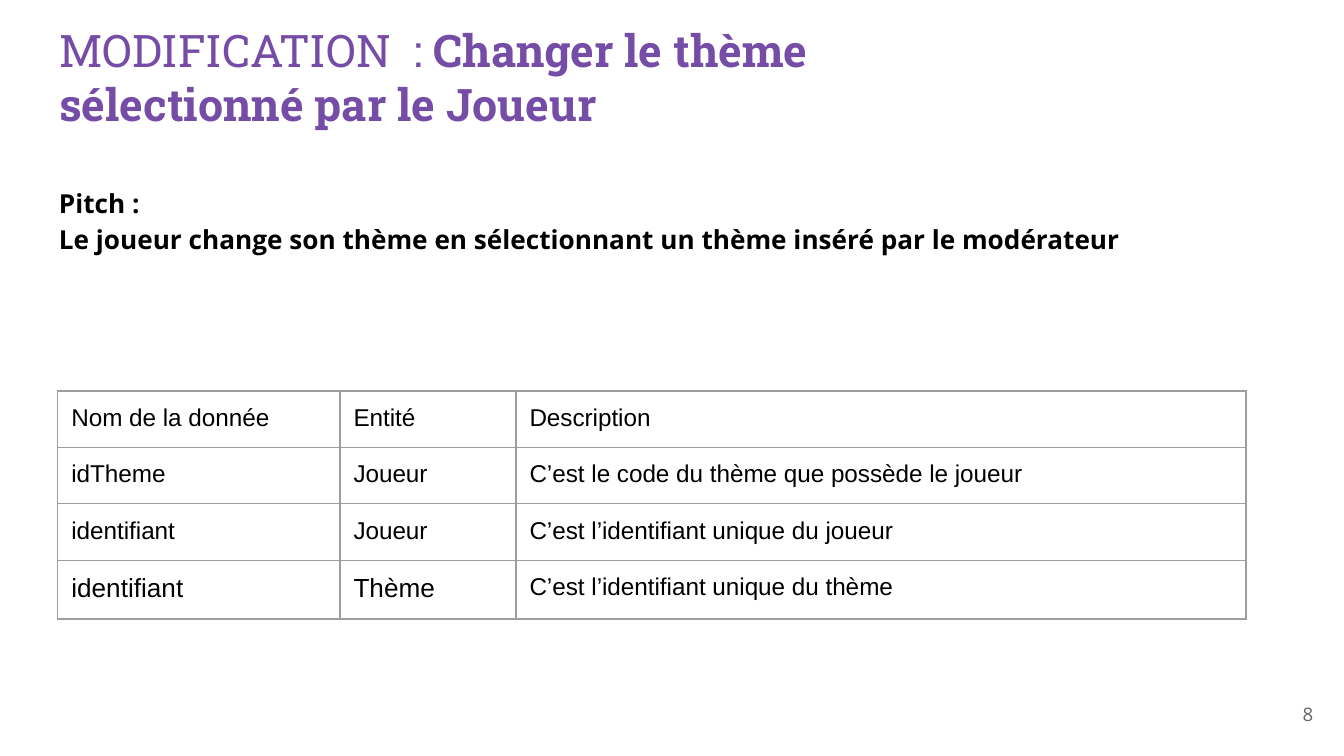
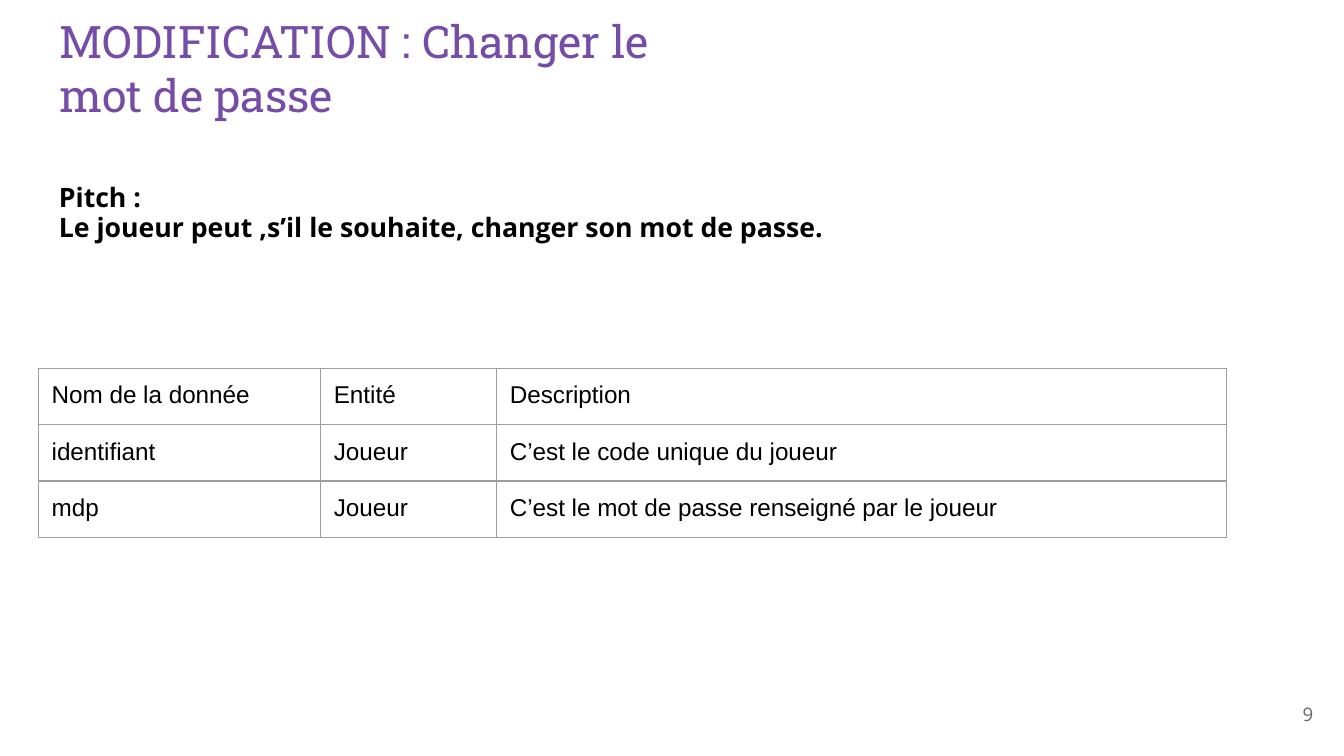
"""Builds two slides on data changes: a title, a pitch and a data table on each."""
from lxml import etree
from pptx import Presentation
from pptx.dml.color import RGBColor
from pptx.enum import text as t
from pptx.oxml import ns
from pptx.util import Pt

PURPLE = RGBColor(0x75, 0x4C, 0xA6)
BLACK = RGBColor(0, 0, 0)
GREY = RGBColor(0x66, 0x66, 0x66)
RULE = "9E9E9E"
SLAB, SANS, ARIAL = "Roboto Slab", "Open Sans", "Arial"
PAD = 7.2
LEFT, WIDE = 24.5, 671
HEAD = ("Nom de la donnée", "Entité", "Description")
COLS = (151.2, 94.3, 391)
ROW = 30.2

SLIDES = [
    dict(
        title=[[("MODIFICATION  : ", False), ("Changer le thème ", True)],
               [("sélectionné par le Joueur", True)]],
        top=5, high=88.5,
        pitch="Le joueur change son thème en sélectionnant un thème inséré par le modérateur",
        size=14, space=1.15, deep=75,
        spot=(31, 209.5),
        rows=[("idTheme", "Joueur", "C’est le code du thème que possède le joueur"),
              ("identifiant", "Joueur", "C’est l’identifiant unique du joueur"),
              ("identifiant", "Thème", "C’est l’identifiant unique du thème")],
        large={(3, 0), (3, 1)},
        num="8"),
    dict(
        title=[[("MODIFICATION : Changer le ", False)], [("mot de passe", False)]],
        top=0, high=80,
        pitch="Le joueur peut ,s’il le souhaite, changer son mot de passe.",
        size=14.3, space=0.95, deep=51,
        spot=(20.5, 197.3),
        rows=[("identifiant", "Joueur", "C’est le code unique du joueur"),
              ("mdp", "Joueur", "C’est le mot de passe renseigné par le joueur")],
        large=set(),
        num="9"),
]


def write(frame, lines, *, font, size, color, align=t.PP_ALIGN.LEFT,
          anchor=t.MSO_ANCHOR.TOP, space=None):
    """Fills a frame with lines, each a list of (words, bold) pairs."""
    frame.word_wrap = True
    frame.auto_size = t.MSO_AUTO_SIZE.NONE
    frame.vertical_anchor = anchor
    frame.margin_left = frame.margin_right = Pt(PAD)
    frame.margin_top = frame.margin_bottom = Pt(PAD)
    for i, line in enumerate(lines):
        para = frame.add_paragraph() if i else frame.paragraphs[0]
        para.alignment = align
        if space:
            para.line_spacing = space
        for words, bold in line:
            run = para.add_run()
            run.text = words
            run.font.name = font
            run.font.size = Pt(size)
            run.font.bold = bold
            run.font.color.rgb = color


def place(shape, left, top, wide, high):
    shape.left, shape.top, shape.width, shape.height = map(Pt, (left, top, wide, high))


def edge(cell):
    props = cell._tc.get_or_add_tcPr()
    for side in ("lnL", "lnR", "lnT", "lnB"):
        line = etree.SubElement(props, ns.qn("a:" + side), w=str(Pt(0.75)))
        fill = etree.SubElement(line, ns.qn("a:solidFill"))
        etree.SubElement(fill, ns.qn("a:srgbClr"), val=RULE)
    cell.fill.background()


def grid(slide, item):
    rows = [HEAD] + item["rows"]
    highs = [ROW + (1.4 if (r, 0) in item["large"] else 0) for r in range(len(rows))]
    table = slide.shapes.add_table(len(rows), len(COLS), *map(Pt, item["spot"]),
                                   Pt(sum(COLS)), Pt(sum(highs))).table
    table.first_row = table.horz_banding = False
    for col, wide in zip(table.columns, COLS):
        col.width = Pt(wide)
    for r, row in enumerate(rows):
        table.rows[r].height = Pt(highs[r])
        for c, words in enumerate(row):
            cell = table.cell(r, c)
            write(cell.text_frame, [[(words, False)]], font=ARIAL,
                  size=14 if (r, c) in item["large"] else 13, color=BLACK)
            cell.margin_left = cell.margin_right = Pt(PAD)
            cell.margin_top = cell.margin_bottom = Pt(PAD)
            edge(cell)


def build(deck, item):
    slide = deck.slides.add_slide(deck.slide_layouts[5])
    title = slide.shapes.title
    place(title, LEFT, item["top"], WIDE, item["high"])
    write(title.text_frame, item["title"], font=SLAB, size=24, color=PURPLE)
    pitch = slide.shapes.add_textbox(*map(Pt, (LEFT, 90.7, WIDE, item["deep"])))
    write(pitch.text_frame, [[("Pitch :", True)], [(item["pitch"], True)]], font=SANS,
          size=item["size"], color=BLACK, space=item["space"])
    num = slide.shapes.add_textbox(*map(Pt, (667.4, 367.2, 43.2, 31)))
    write(num.text_frame, [[(item["num"], False)]], font=SANS, size=10, color=GREY,
          align=t.PP_ALIGN.RIGHT, anchor=t.MSO_ANCHOR.MIDDLE)
    grid(slide, item)


deck = Presentation()
deck.slide_width, deck.slide_height = Pt(720), Pt(405)
for item in SLIDES:
    build(deck, item)
deck.save("out.pptx")
